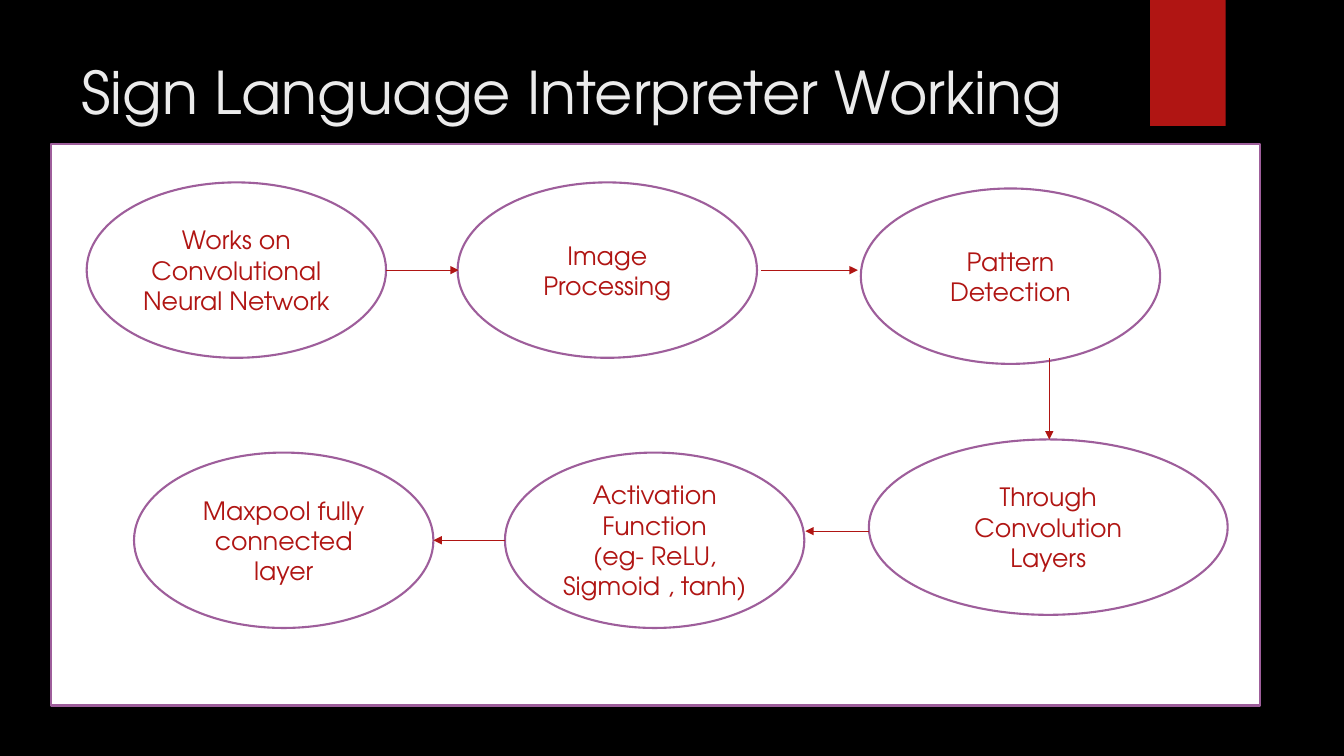
from dataclasses import dataclass
from lxml.etree import SubElement
from pptx import Presentation
from pptx.dml.color import RGBColor as Rgb
from pptx.enum.shapes import MSO_CONNECTOR as Link, MSO_SHAPE as Form
from pptx.enum.text import MSO_ANCHOR as Anchor, MSO_AUTO_SIZE as Fit, PP_ALIGN as Align
from pptx.oxml.ns import qn
from pptx.util import Inches, Pt


@dataclass(frozen=True)
class Theme:
    font: str = "TeX Gyre Adventor"
    back: str = "000000"
    paper: str = "FFFFFF"
    head: str = "EBEBEB"
    red: str = "B01513"
    edge: str = "9E5E9B"
    big: int = 42
    body: int = 18
    rim: float = 1.5
    thin: float = 0.75


class Deck:
    cols, rows = 40, 30

    def __init__(self, theme):
        self.theme = theme
        self.file = Presentation()
        self.file.slide_width = Inches(13.33)
        self.file.slide_height = Inches(7.5)
        self.slide = self.file.slides.add_slide(self.file.slide_layouts[5])
        fill = self.slide.background.fill
        fill.solid()
        fill.fore_color.rgb = Rgb.from_string(theme.back)

    def place(self, x, y):
        return (round(self.file.slide_width * x / self.cols),
                round(self.file.slide_height * y / self.rows))

    def label(self, shape, text, size, color, align, anchor):
        frame = shape.text_frame
        frame.text = text
        frame.word_wrap = True
        frame.auto_size = Fit.NONE
        frame.vertical_anchor = anchor
        for para in frame.paragraphs:
            para.alignment = align
            for run in para.runs:
                run.font.name = self.theme.font
                run.font.size = Pt(size)
                run.font.color.rgb = Rgb.from_string(color)

    def title(self, text, x, y, w, h):
        shape = self.slide.shapes.title
        shape.left, shape.top = self.place(x, y)
        shape.width, shape.height = self.place(w, h)
        self.label(shape, text, self.theme.big, self.theme.head, Align.LEFT, Anchor.TOP)

    def shape(self, form, x, y, w, h, fill, edge=None):
        shape = self.slide.shapes.add_shape(form, *self.place(x, y), *self.place(w, h))
        shape.shadow.inherit = False
        shape.fill.solid()
        shape.fill.fore_color.rgb = Rgb.from_string(fill)
        if edge:
            shape.line.color.rgb = Rgb.from_string(edge)
            shape.line.width = Pt(self.theme.rim)
        else:
            shape.line.fill.background()
        return shape

    def step(self, text, x, y, w=8.91, h=6.96):
        shape = self.shape(Form.OVAL, x, y, w, h, self.theme.paper, self.theme.edge)
        self.label(shape, text, self.theme.body, self.theme.red, Align.CENTER, Anchor.MIDDLE)

    def arrow(self, start, end):
        link = self.slide.shapes.add_connector(
            Link.STRAIGHT, *self.place(*start), *self.place(*end))
        link.line.color.rgb = Rgb.from_string(self.theme.red)
        link.line.width = Pt(self.theme.thin)
        props = link.element.spPr
        SubElement(props.find(qn("a:ln")), qn("a:tailEnd"), type="triangle")
        SubElement(props, qn("a:effectLst"))


def main():
    theme = Theme()
    deck = Deck(theme)
    deck.shape(Form.RECTANGLE, 34.23, 0, 2.25, 5, theme.red)
    deck.title("Sign Language Interpreter Working", 2.13, 2, 30.87, 6.12)
    deck.shape(Form.RECTANGLE, 1.53, 5.72, 35.97, 22.28, theme.paper, theme.edge)

    top, low = 7.24, 17.96
    deck.step("Works on Convolutional Neural Network", 2.58, top)
    deck.step("Image Processing", 13.62, top)
    deck.step("Pattern Detection", 25.62, 7.48)
    deck.step("Through Convolution\nLayers", 25.86, 17.44, w=10.68)
    deck.step("Activation Function\n(eg- ReLU, Sigmoid , tanh)", 15.03, low)
    deck.step("Maxpool fully connected layer", 3.99, low)

    for start, end in (
        ((11.49, 10.72), (13.65, 10.72)),
        ((22.65, 10.72), (25.53, 10.72)),
        ((31.23, 14.2), (31.23, 17.44)),
        ((25.86, 21.08), (23.97, 21.08)),
        ((15.03, 21.44), (12.9, 21.44)),
    ):
        deck.arrow(start, end)
    deck.file.save("out.pptx")


if __name__ == "__main__":
    main()
